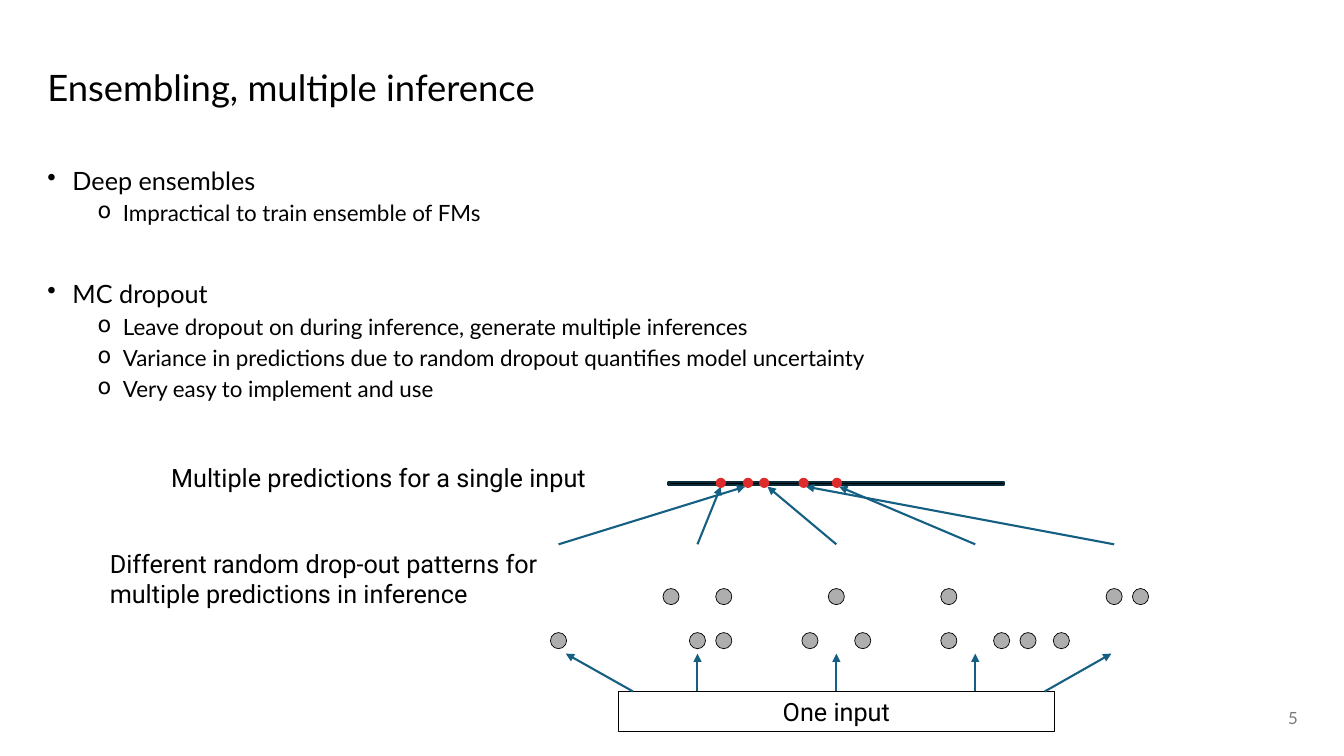
from collections import namedtuple

from pptx import Presentation
from pptx.dml.color import RGBColor
from pptx.enum.shapes import MSO_CONNECTOR as Conn, MSO_SHAPE as Shape
from pptx.enum.text import MSO_ANCHOR as Anchor, PP_ALIGN as Align
from pptx.oxml.ns import qn
from pptx.util import Inches, Pt
from lxml import etree

COLORS = {"text": "000000", "muted": "797979", "neuron": "AEAEAE",
          "axis_edge": "092A39", "arrow": "156082", "dot": "DE2C2C"}
Box = namedtuple("Box", "x y w h")
SLIDE = Box(0, 0, Inches(13.33), Inches(7.5))

BULLETS = [  # level, text, space before
    (0, "Deep ensembles", 0),
    (1, "Impractical to train ensemble of FMs", 5),
    (0, "MC dropout", 39.5),
    (1, "Leave dropout on during inference, generate multiple inferences", 5),
    (1, "Variance in predictions due to random dropout quantifies model uncertainty", 5),
    (1, "Very easy to implement and use", 5),
]
LEVELS = [{"char": "•", "margin": 0.25, "size": 18},
          {"char": "o", "margin": 0.75, "size": 16}]

# Active neurons per network, in steps from its centre: (top layer, bottom layer)
NETWORKS = [((), (0,)), ((-1, 1), (0, 1)), ((0,), (-1, 1)),
            ((-1,), (-1, 1, 2)), ((0, 1), (-2,))]
# Percent of the diagram width: prediction of each network, arrow tip beside it
PREDICTIONS = [(34.1, 33.6), (29.2, 29.2), (37, 37.6), (50.1, 50.5), (44.1, 44.5)]
# Percent of the diagram width: start and tip of the outer input arrows
OUTER_ARROWS = {0: (13.4, 1.3), 4: (87.5, 99.5)}


def part(box, x, y, w=0, h=0):
    """Sub-box whose place and size are percentages of the given box."""
    return Box(*(int(v) for v in (box.x + box.w * x / 100, box.y + box.h * y / 100,
                                  box.w * w / 100, box.h * h / 100)))


def rgb(name):
    return RGBColor.from_string(COLORS[name])


def write(p, text, size, font="Lato", color="text"):
    r = p.add_run()
    r.text = text
    for key, value in {"size": Pt(size), "name": font}.items():
        setattr(r.font, key, value)
    r.font.color.rgb = rgb(color)


def add_text(s, box, anchor=Anchor.TOP):
    tf = s.shapes.add_textbox(*box).text_frame
    for key, value in {"word_wrap": True, "vertical_anchor": anchor}.items():
        setattr(tf, key, value)
    return tf


def add_shape(s, kind, box, fill, line, width):
    sp = s.shapes.add_shape(kind, *box)
    sp.shadow.inherit = False
    if fill:
        sp.fill.solid()
        sp.fill.fore_color.rgb = rgb(fill)
    else:
        sp.fill.background()
    sp.line.color.rgb = rgb(line)
    sp.line.width = Pt(width)
    return sp


def add_circle(s, center, size, fill, line, width):
    d = Inches(size)
    box = Box(center.x - d // 2, center.y - d // 2, d, d)
    add_shape(s, Shape.OVAL, box, fill, line, width)


def add_arrow(s, start, end):
    c = s.shapes.add_connector(Conn.STRAIGHT, *start[:2], *end[:2])
    c.line.color.rgb = rgb("arrow")
    c.line.width = Pt(1.5)
    etree.SubElement(c.line._get_or_add_ln(), qn("a:tailEnd"), type="triangle")
    etree.SubElement(c._element.spPr, qn("a:effectLst"))


def add_title(s, box):
    p = add_text(s, box, Anchor.MIDDLE).paragraphs[0]
    p.line_spacing = 0.9
    write(p, "Ensembling, multiple inference", 26)


def add_bullets(s, box):
    tf = add_text(s, box)
    for i, (level, text, before) in enumerate(BULLETS):
        p = tf.add_paragraph() if i else tf.paragraphs[0]
        style = LEVELS[level]
        for key, value in {"level": level, "line_spacing": 0.9,
                           "space_before": Pt(before)}.items():
            setattr(p, key, value)
        pr = p._p.get_or_add_pPr()
        pr.set("marL", str(Inches(style["margin"])))
        pr.set("indent", str(-Inches(0.25)))
        etree.SubElement(pr, qn("a:buChar"), char=style["char"])
        write(p, text, style["size"])


def add_label(s, box, text):
    write(add_text(s, box).paragraphs[0], text, 18, "Roboto")


def add_page_number(s, box):
    p = add_text(s, box, Anchor.MIDDLE).paragraphs[0]
    p.alignment = Align.RIGHT
    write(p, "5", 12, color="muted")


def add_dropout_diagram(s, box):
    """Input at the bottom, networks in the middle, predictions on a top axis."""
    column = 100 / (len(NETWORKS) - 1)
    step = 0.19 * column
    for k, layers in enumerate(NETWORKS):
        for y, units in zip((45.7, 63.4), layers):
            for unit in units:
                center = part(box, k * column + unit * step, y)
                add_circle(s, center, 0.16, "neuron", "text", 0.5)

    add_shape(s, Shape.RECTANGLE, part(box, 19.8, -0.4, 60.4, 1.2),
              "text", "axis_edge", 1.5)
    for k, (_, tip) in enumerate(PREDICTIONS):
        add_arrow(s, part(box, k * column, 24.7), part(box, tip, 1.5))
    for dot, _ in PREDICTIONS:
        add_circle(s, part(box, dot, 0), 0.08, "dot", "dot", 1.5)

    sp = add_shape(s, Shape.RECTANGLE, part(box, 10.7, 83.8, 78.6, 16.2),
                   None, "text", 0.5)
    sp.text_frame.vertical_anchor = Anchor.MIDDLE
    p = sp.text_frame.paragraphs[0]
    p.alignment = Align.CENTER
    write(p, "One input", 18, "Roboto")
    for k in range(len(NETWORKS)):
        start, tip = OUTER_ARROWS.get(k, (k * column, k * column))
        add_arrow(s, part(box, start, 83.8), part(box, tip, 68.6))


def main():
    prs = Presentation()
    prs.slide_width, prs.slide_height = SLIDE.w, SLIDE.h
    s = prs.slides.add_slide(prs.slide_layouts[6])
    add_title(s, part(SLIDE, 2.78, 5.33, 94.52, 13.2))
    add_bullets(s, part(SLIDE, 2.78, 21.6, 94.52, 68.4))
    add_page_number(s, part(SLIDE, 91.52, 92.27, 5.78, 5.33))
    add_dropout_diagram(s, part(SLIDE, 41.56, 63.87, 41.34, 32.93))
    add_label(s, part(SLIDE, 12, 60.53, 36.83, 5.33),
              "Multiple predictions for a single input")
    add_label(s, part(SLIDE, 7.43, 71.87, 34.51, 9.47),
              "Different random drop-out patterns for multiple predictions in inference")
    prs.save("out.pptx")


if __name__ == "__main__":
    main()
